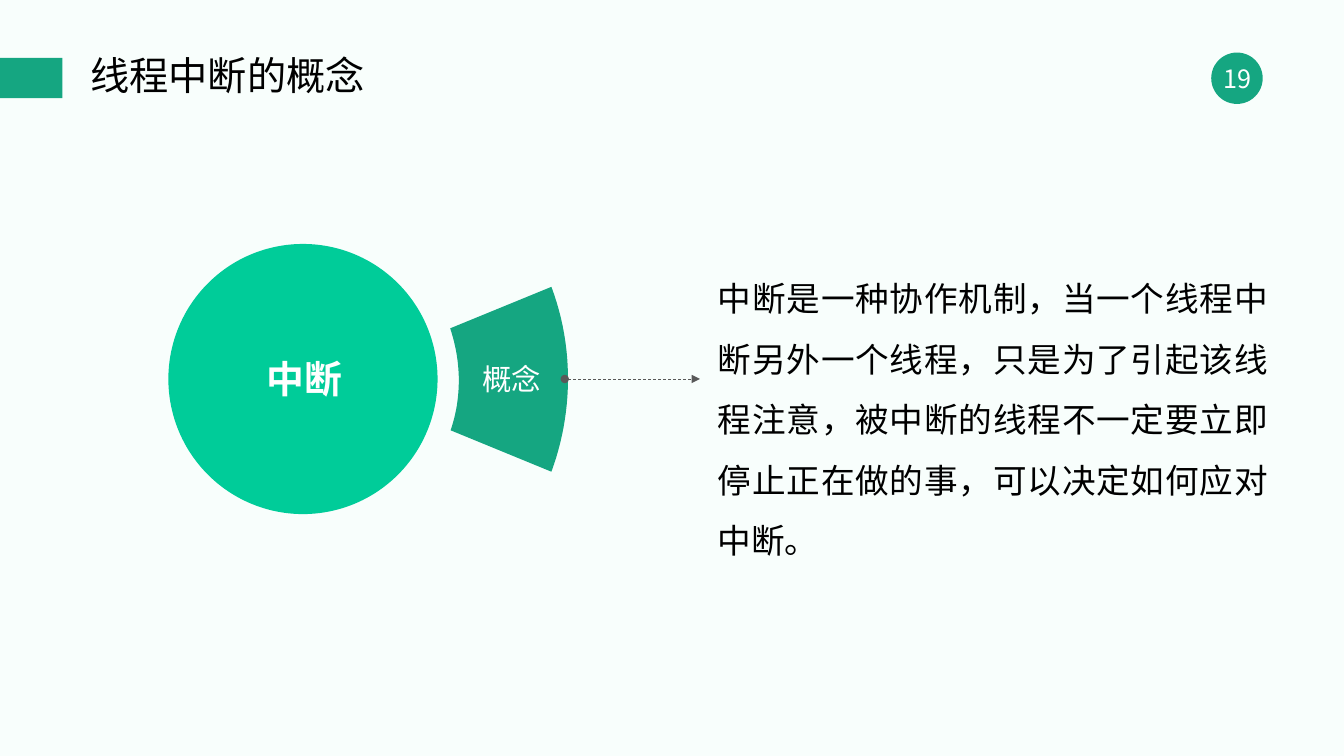
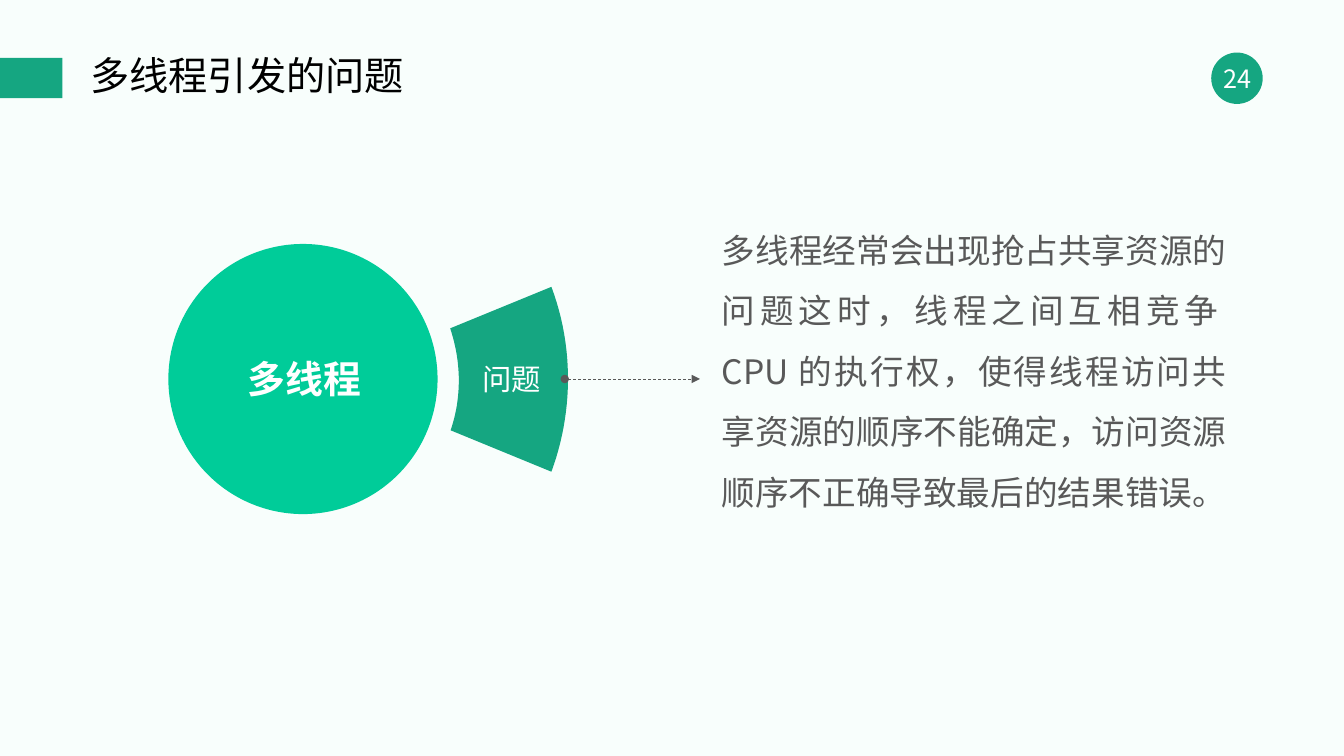
from lxml import etree
from pptx import Presentation
from pptx.dml.color import RGBColor
from pptx.enum.dml import MSO_LINE
from pptx.enum.shapes import MSO_CONNECTOR, MSO_SHAPE
from pptx.enum.text import MSO_ANCHOR, PP_ALIGN
from pptx.oxml.ns import qn
from pptx.util import Inches, Pt

RECT, OVAL = MSO_SHAPE.RECTANGLE, MSO_SHAPE.OVAL
STRAIGHT, DASH = MSO_CONNECTOR.STRAIGHT, MSO_LINE.DASH
TOP, MIDDLE = MSO_ANCHOR.TOP, MSO_ANCHOR.MIDDLE
LEFT, CENTER, JUSTIFY = PP_ALIGN.LEFT, PP_ALIGN.CENTER, PP_ALIGN.JUSTIFY

FONT = "Noto Sans CJK SC"
COLORS = {
    "background": "F8FEFC",
    "accent": "15A681",
    "bright": "00CC99",
    "gray": "595959",
    "black": "000000",
    "white": "FFFFFF",
}
PADDED = (0.1, 0.05)
FLUSH = (0, 0)


def rgb(name):
    """Return the named palette colour."""
    return RGBColor.from_string(COLORS[name])


def bezier(p0, p1, p2, p3, steps=24):
    """Return points along a cubic curve, both ends included."""
    points = []
    for i in range(steps + 1):
        t = i / steps
        weights = ((1 - t) ** 3, 3 * t * (1 - t) ** 2, 3 * t * t * (1 - t), t ** 3)
        points.append(tuple(sum(w * p[axis] for w, p in zip(weights, (p0, p1, p2, p3)))
                            for axis in (0, 1)))
    return points


class Deck:
    """Slides in one style, with lengths in percent of the slide's size."""

    def __init__(self):
        """Set the slide size and the shared background."""
        self.prs = Presentation()
        self.prs.slide_width, self.prs.slide_height = Inches(13.33), Inches(7.5)
        fill = self.prs.slide_master.background.fill
        fill.solid()
        fill.fore_color.rgb = rgb("background")

    def emu(self, *values):
        """Convert alternating horizontal and vertical percentages to EMU."""
        sides = (self.prs.slide_width, self.prs.slide_height)
        return [round(v * sides[i % 2] / 100) for i, v in enumerate(values)]

    def paint(self, sp, color):
        """Give a shape a plain fill without line or shadow."""
        sp.shadow.inherit = False
        sp.fill.solid()
        sp.fill.fore_color.rgb = rgb(color)
        sp.line.fill.background()

    def shape(self, kind, box, color):
        """Add a filled preset shape."""
        self.paint(self.s.shapes.add_shape(kind, *self.emu(*box)), color)

    def outline(self, points, color):
        """Add a filled closed outline."""
        start, *rest = [self.emu(*point) for point in points]
        builder = self.s.shapes.build_freeform(*start)
        builder.add_line_segments(rest, close=True)
        self.paint(builder.convert_to_shape(), color)

    def arrow(self, ends, color):
        """Add a thin dashed arrow that starts with a dot."""
        line = self.s.shapes.add_connector(STRAIGHT, *self.emu(*ends))
        line.line.color.rgb = rgb(color)
        line.line.width = Pt(0.5)
        line.line.dash_style = DASH
        props = line._element.spPr
        ln = props.find(qn("a:ln"))
        etree.SubElement(ln, qn("a:headEnd"), type="oval")
        etree.SubElement(ln, qn("a:tailEnd"), type="triangle")
        etree.SubElement(props, qn("a:effectLst"))

    def text(self, box, text, size, color, align=CENTER, anchor=TOP, inset=FLUSH,
             bold=False, wrap=True, spacing=1.0, before=0):
        """Add a text box with one paragraph."""
        tf = self.s.shapes.add_textbox(*self.emu(*box)).text_frame
        tf.word_wrap, tf.vertical_anchor = wrap, anchor
        tf.margin_left = tf.margin_right = Inches(inset[0])
        tf.margin_top = tf.margin_bottom = Inches(inset[1])
        p = tf.paragraphs[0]
        p.text, p.alignment, p.line_spacing = text, align, spacing
        p.space_before = Pt(before)
        p.font.size, p.font.bold = Pt(size), bold
        p.font.color.rgb = rgb(color)
        p.font.name = FONT
        props = p._p.pPr.find(qn("a:defRPr"))
        etree.SubElement(props, qn("a:ea"), typeface=FONT)

    def slide(self, title, number):
        """Start a slide with its title, band and page badge."""
        self.s = self.prs.slides.add_slide(self.prs.slide_layouts[6])
        self.shape(OVAL, (90.12, 6.95, 3.83, 6.8), "accent")
        self.text((90.15, 5.6, 3.83, 9.47), str(number), 18, "white",
                  anchor=MIDDLE, inset=PADDED)
        self.shape(RECT, (0, 7.66, 4.65, 5.33), "accent")
        self.text((6, 6.93, 55.88, 6.8), title, 28, "black", LEFT, MIDDLE,
                  PADDED, spacing=0.9, before=10)

    def diagram(self, topic, aspect):
        """Add the topic circle, the aspect wedge and the arrow."""
        outer = bezier((41.03, 37.95), (42.75, 46.13), (42.6, 54.8), (41.03, 62.4))
        inner = bezier((33.53, 56.93), (34.35, 52.67), (34.35, 48), (33.5, 43.44))
        self.outline(outer + inner, "accent")
        self.shape(OVAL, (12.53, 32.27, 20.03, 35.73), "bright")
        self.arrow((42.02, 50.13, 52.08, 50.13), "gray")
        width = 2.03 + 2.85 * len(topic)
        self.text((22.66 - width / 2, 46.13, width, 7.87), topic, 27, "white",
                  inset=(0.13, 0.07), bold=True, wrap=False)
        self.text((34.91, 47.73, 6.38, 4.67), aspect, 21, "white")

    def body(self, box, text, color):
        """Add the explanation beside the diagram."""
        self.text(box, text, 24, color, JUSTIFY, spacing=1.5)


deck = Deck()

deck.slide("线程中断的概念", 19)
deck.body((53.4, 34.13, 40.95, 40),
          "中断是一种协作机制，当一个线程中断另外一个线程，只是为了引起该线程注意，"
          "被中断的线程不一定要立即停止正在做的事，可以决定如何应对中断。", "black")
deck.diagram("中断", "概念")

deck.slide("多线程引发的问题", 24)
deck.body((53.7, 27.73, 37.56, 40),
          "多线程经常会出现抢占共享资源的问题这时，线程之间互相竞争CPU的执行权，"
          "使得线程访问共享资源的顺序不能确定，访问资源顺序不正确导致最后的结果错误。", "gray")
deck.diagram("多线程", "问题")

deck.prs.save("out.pptx")
